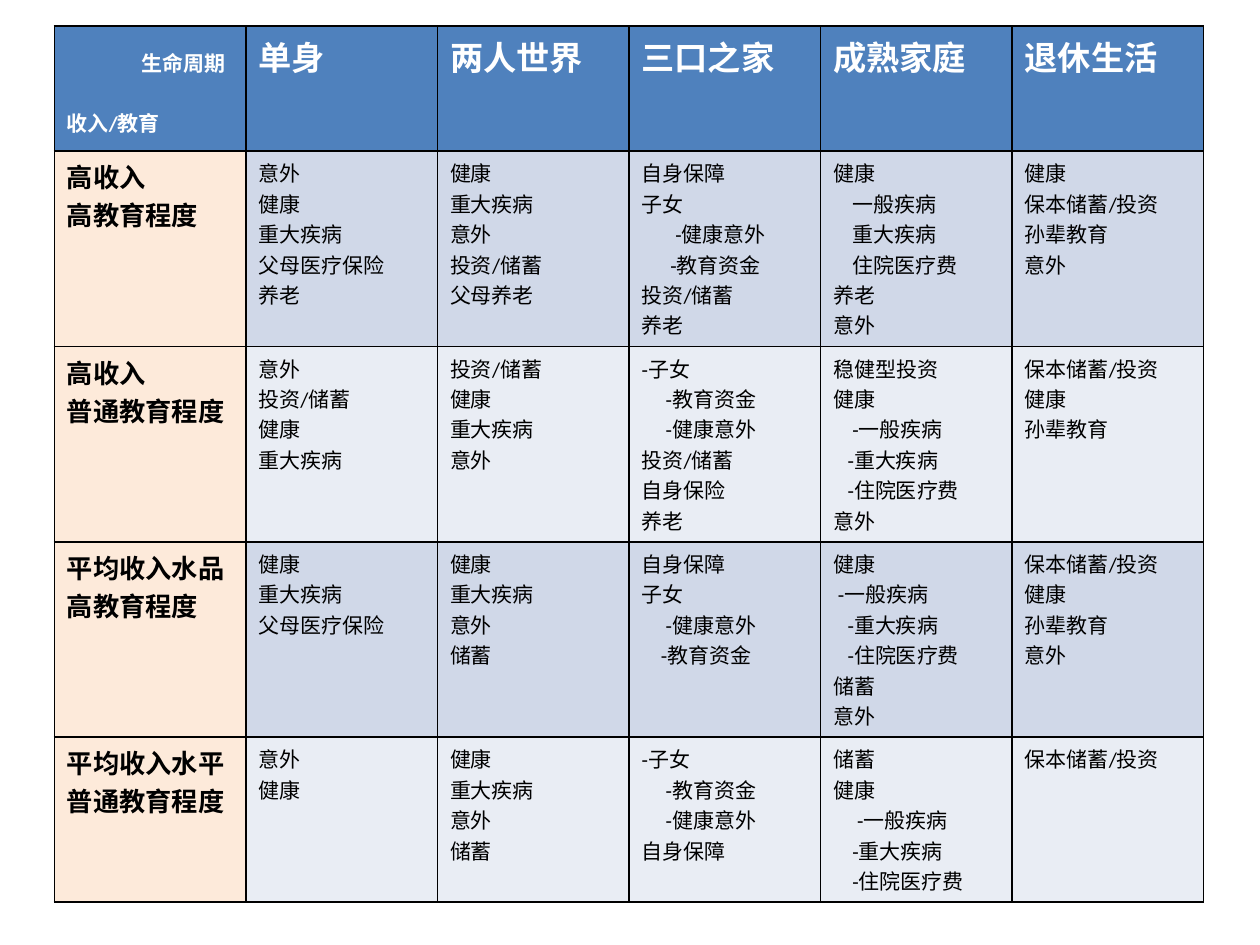
"""Build a slide with a table of insurance needs by life stage and income."""
from pptx import Presentation
from pptx.dml.color import RGBColor as RGB
from pptx.oxml import parse_xml as parse
from pptx.oxml.ns import nsdecls
from pptx.util import Pt

BLUE = RGB(0x4F, 0x81, 0xBD)
PEACH = RGB(0xFD, 0xEA, 0xDA)
BANDS = RGB(0xD0, 0xD8, 0xE8), RGB(0xE9, 0xED, 0xF4)
WHITE = RGB(0xFF, 0xFF, 0xFF)
BLACK = RGB(0, 0, 0)

STEP = 2.75
WIDTH = 109.5
HEIGHTS = [71.3, 93.6, 93.6, 93.6, 79.2]
STAGES = ["单身", "两人世界", "三口之家", "成熟家庭", "退休生活"]
GROUPS = [
    ["高收入", "高教育程度"],
    ["高收入", "普通教育程度"],
    ["平均收入水品", "高教育程度"],
    ["平均收入水平", "普通教育程度"],
]
NEEDS = [
    [
        ["意外", "健康", "重大疾病", "父母医疗保险", "养老"],
        ["健康", "重大疾病", "意外", "投资/储蓄", "父母养老"],
        ["自身保障", "子女", (7, "-健康意外"), (6, "-教育资金"), "投资/储蓄", "养老"],
        ["健康", (4, "一般疾病"), (4, "重大疾病"), (4, "住院医疗费"), "养老", "意外"],
        ["健康", "保本储蓄/投资", "孙辈教育", "意外"],
    ],
    [
        ["意外", "投资/储蓄", "健康", "重大疾病"],
        ["投资/储蓄", "健康", "重大疾病", "意外"],
        ["-子女", (5, "-教育资金"), (5, "-健康意外"), "投资/储蓄", "自身保险", "养老"],
        ["稳健型投资", "健康", (4, "-一般疾病"), (3, "-重大疾病"), (3, "-住院医疗费"), "意外"],
        ["保本储蓄/投资", "健康", "孙辈教育"],
    ],
    [
        ["健康", "重大疾病", "父母医疗保险"],
        ["健康", "重大疾病", "意外", "储蓄"],
        ["自身保障", "子女", (5, "-健康意外"), (4, "-教育资金")],
        ["健康", (1, "-一般疾病"), (3, "-重大疾病"), (3, "-住院医疗费"), "储蓄", "意外"],
        ["保本储蓄/投资", "健康", "孙辈教育", "意外"],
    ],
    [
        ["意外", "健康"],
        ["健康", "重大疾病", "意外", "储蓄"],
        ["-子女", (5, "-教育资金"), (5, "-健康意外"), "自身保障"],
        ["储蓄", "健康", (5, "-一般疾病"), (4, "-重大疾病"), (4, "-住院医疗费")],
        ["保本储蓄/投资"],
    ],
]


def write(para, text, font="Calibri", size=12, bold=False, color=BLACK, indent=0):
    if indent:
        para._p.get_or_add_pPr().set("marL", str(Pt(indent)))
    run = para.add_run()
    run.text = text
    run.font.name = font
    run.font.size = Pt(size)
    run.font.bold = bold
    run.font.color.rgb = color


class Deck:
    def __init__(self, font="Calibri"):
        self.font = font
        self.show = Presentation()
        self.show.slide_width, self.show.slide_height = Pt(720), Pt(540)
        self.slide = self.show.slides.add_slide(self.show.slide_layouts[6])

    def table(self, left, top, cols, rows):
        frame = self.slide.shapes.add_table(
            len(rows), len(cols), Pt(left), Pt(top), Pt(sum(cols)), Pt(sum(rows)))
        grid = frame.table
        grid.first_row = grid.horz_banding = False
        for col, width in zip(grid.columns, cols):
            col.width = Pt(width)
        for row, height in zip(grid.rows, rows):
            row.height = Pt(height)
        return grid

    def cell(self, cell, lines, fill, **style):
        props = cell._tc.get_or_add_tcPr()
        for side in "LRTB":
            props.append(parse(
                f'<a:ln{side} {nsdecls("a")} w="{Pt(1)}"><a:solidFill>'
                f'<a:srgbClr val="{BLACK}"/></a:solidFill></a:ln{side}>'))
        cell.fill.solid()
        cell.fill.fore_color.rgb = fill
        frame = cell.text_frame
        for i, line in enumerate(lines):
            para = frame.add_paragraph() if i else frame.paragraphs[0]
            depth, text = line if isinstance(line, tuple) else (0, line)
            write(para, text, font=self.font, indent=depth * STEP, **style)


def main():
    deck = Deck()
    grid = deck.table(31, 15, [WIDTH] * 6, HEIGHTS)
    head = {"fill": BLUE, "bold": True, "color": WHITE}

    corner = grid.cell(0, 0)
    deck.cell(corner, [(15.6, "生命周期"), "收入/教育"], **head)
    corner.margin_top = Pt(12)
    corner.text_frame.paragraphs[1].space_before = Pt(17)

    for col, stage in enumerate(STAGES, 1):
        deck.cell(grid.cell(0, col), [stage], size=19, **head)
    for row, (group, needs) in enumerate(zip(GROUPS, NEEDS), 1):
        deck.cell(grid.cell(row, 0), group, PEACH, size=15, bold=True)
        for col, lines in enumerate(needs, 1):
            deck.cell(grid.cell(row, col), lines, BANDS[(row - 1) % 2])
    deck.show.save("out.pptx")


if __name__ == "__main__":
    main()
